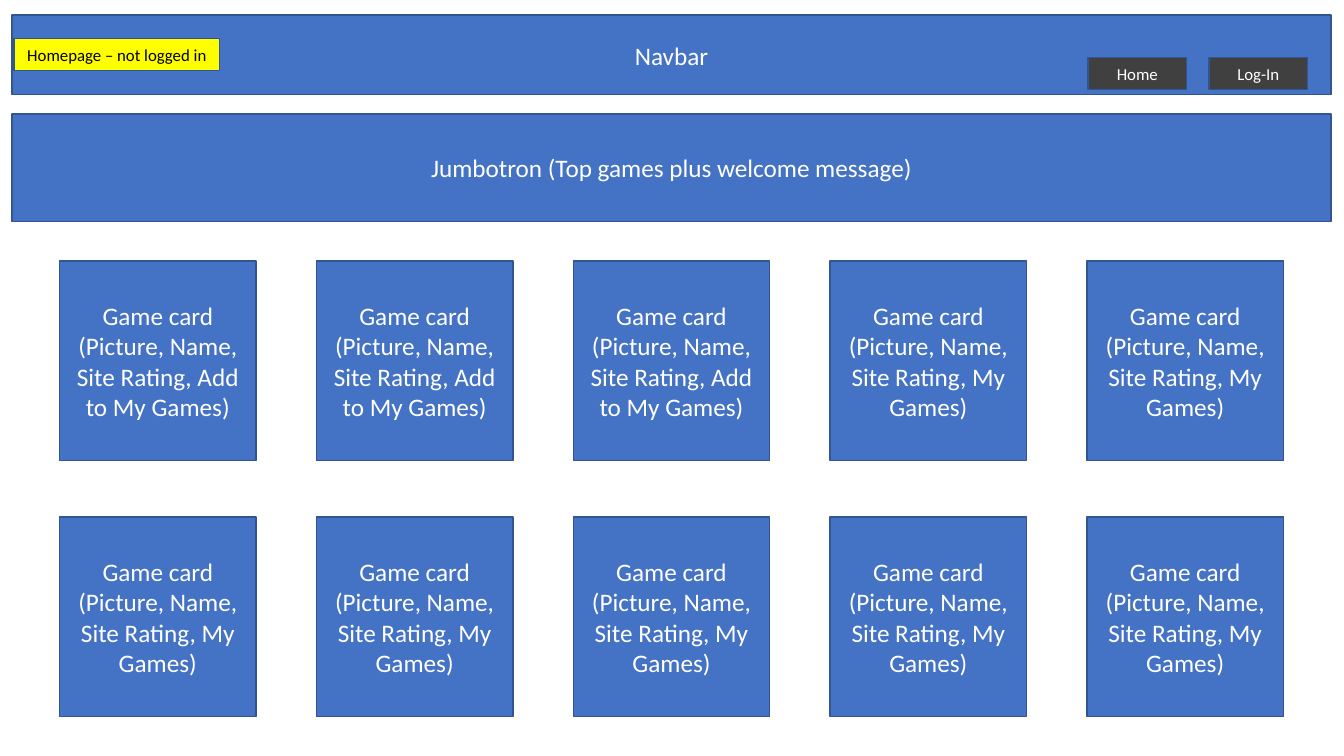
from dataclasses import dataclass

from pptx import Presentation
from pptx.dml.color import RGBColor
from pptx.enum.shapes import MSO_SHAPE
from pptx.enum.text import MSO_ANCHOR, PP_ALIGN
from pptx.util import Inches, Pt


@dataclass(frozen=True)
class Theme:
    font: str = "Calibri"
    block: str = "4472C4"
    button: str = "404040"
    label: str = "FFFF00"
    outline: str = "325491"
    light_text: str = "FFFFFF"
    dark_text: str = "000000"
    body_size: int = 18
    small_size: int = 12


THEME = Theme()

# Game card grid
COLUMNS, ROWS = 5, 2
CARD_WIDTH, CARD_HEIGHT = 1.95, 1.98
FIRST_LEFT, LAST_LEFT = 0.59, 10.78
FIRST_TOP, ROW_STEP = 2.59, 2.54
COLUMN_STEP = (LAST_LEFT - FIRST_LEFT) / (COLUMNS - 1)
ADDABLE_CARDS = 3


def add_box(page, place, lines, fill=THEME.block, color=THEME.light_text,
            size=THEME.body_size):
    """Add an outlined rectangle with centred text, one paragraph per line."""
    box = page.shapes.add_shape(MSO_SHAPE.RECTANGLE, *map(Inches, place))
    box.shadow.inherit = False
    box.fill.solid()
    box.fill.fore_color.rgb = RGBColor.from_string(fill)
    box.line.color.rgb = RGBColor.from_string(THEME.outline)
    box.line.width = Pt(1)

    frame = box.text_frame
    frame.word_wrap = True
    frame.vertical_anchor = MSO_ANCHOR.MIDDLE
    frame.text = "\n".join(lines)
    font_format = {"name": THEME.font, "size": Pt(size)}
    for para in frame.paragraphs:
        para.alignment = PP_ALIGN.CENTER
        for span in para.runs:
            for name, value in font_format.items():
                setattr(span.font, name, value)
            span.font.color.rgb = RGBColor.from_string(color)


def add_button(page, left, caption):
    add_box(page, (left, 0.57, 0.98, 0.32), [caption],
            fill=THEME.button, size=THEME.small_size)


def add_game_cards(page):
    for index in range(ROWS * COLUMNS):
        row, column = divmod(index, COLUMNS)
        place = (FIRST_LEFT + column * COLUMN_STEP,
                 FIRST_TOP + row * ROW_STEP, CARD_WIDTH, CARD_HEIGHT)
        action = "Add to My Games" if index < ADDABLE_CARDS else "My Games"
        add_box(page, place,
                ["Game card", f"(Picture, Name, Site Rating, {action})"])


def main():
    deck = Presentation()
    deck.slide_width, deck.slide_height = Inches(13.33), Inches(7.5)
    page = deck.slides.add_slide(deck.slide_layouts[6])

    # Navigation bar and its buttons
    add_box(page, (0.12, 0.15, 13.08, 0.79), ["Navbar"])
    for left, caption in ((10.79, "Home"), (11.99, "Log-In")):
        add_button(page, left, caption)

    add_game_cards(page)

    # Page state label
    add_box(page, (0.14, 0.38, 2.04, 0.32), ["Homepage – not logged in"],
            fill=THEME.label, color=THEME.dark_text, size=THEME.small_size)

    # Welcome banner
    add_box(page, (0.12, 1.13, 13.08, 1.07),
            ["Jumbotron (Top games plus welcome message)"])

    deck.save("out.pptx")


main()
